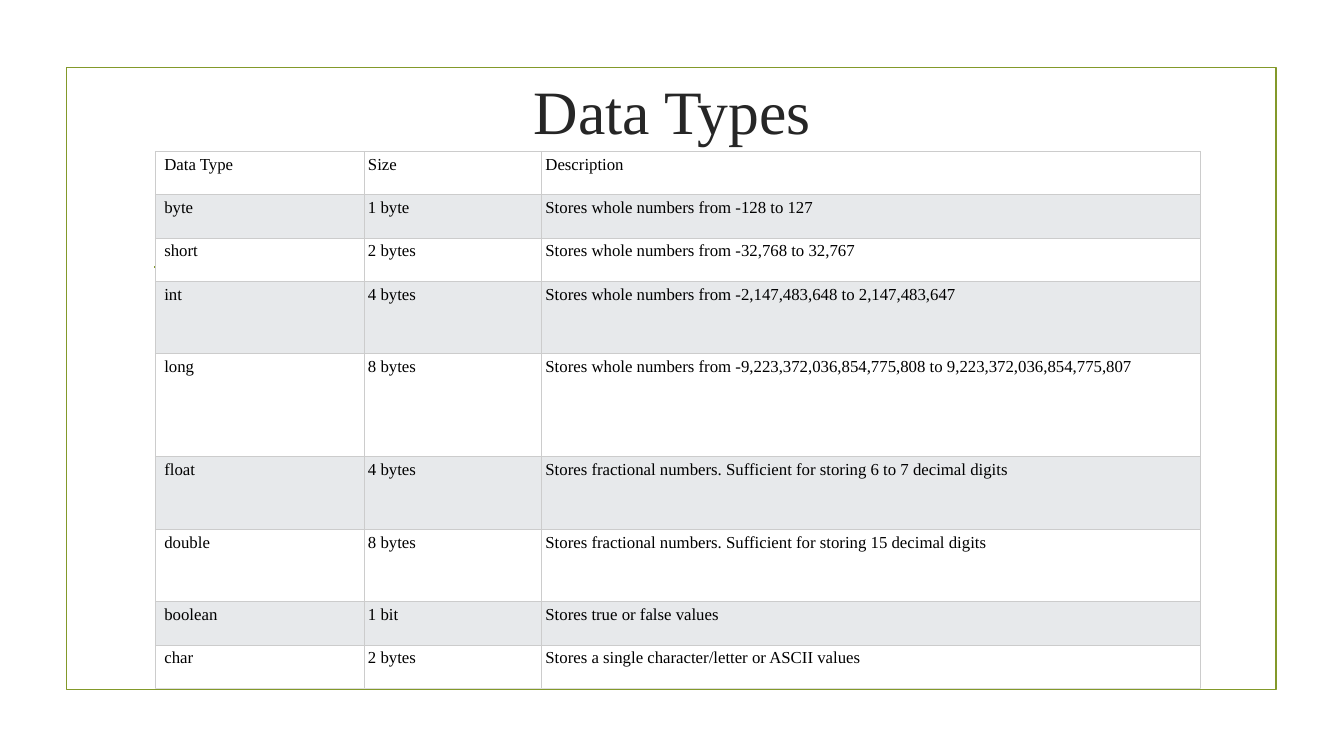
from lxml import etree
from pptx import Presentation
from pptx.dml.color import RGBColor
from pptx.enum.shapes import MSO_CONNECTOR, MSO_SHAPE
from pptx.enum.text import MSO_ANCHOR, PP_ALIGN
from pptx.oxml.ns import qn
from pptx.util import Inches, Pt

STRAIGHT = MSO_CONNECTOR.STRAIGHT
RECTANGLE = MSO_SHAPE.RECTANGLE
MIDDLE, TOP = MSO_ANCHOR.MIDDLE, MSO_ANCHOR.TOP
CENTER, LEFT = PP_ALIGN.CENTER, PP_ALIGN.LEFT

OLIVE = RGBColor(0x83, 0x99, 0x2A)
CHARCOAL = RGBColor(0x26, 0x26, 0x26)
BLACK = RGBColor(0, 0, 0)
WHITE = RGBColor(0xFF, 0xFF, 0xFF)
BAND_GRAY = RGBColor(0xE7, 0xE9, 0xEB)
BORDER_GRAY = RGBColor(0xCC, 0xCC, 0xCC)
BOTTOM_GRAY = RGBColor(0xDD, 0xDD, 0xDD)
FONT = "Times New Roman"

COLUMN_WIDTHS = (2.07, 1.76, 6.54)
ROW_HEIGHTS = (0.43, 0.43, 0.43, 0.72, 1.02, 0.72, 0.72, 0.43, 0.43)
DATA_TYPES = (
    ("Data Type", "Size", "Description"),
    ("byte", "1 byte", "Stores whole numbers from -128 to 127"),
    ("short", "2 bytes", "Stores whole numbers from -32,768 to 32,767"),
    ("int", "4 bytes", "Stores whole numbers from -2,147,483,648 to 2,147,483,647"),
    ("long", "8 bytes",
     "Stores whole numbers from -9,223,372,036,854,775,808 to 9,223,372,036,854,775,807"),
    ("float", "4 bytes",
     "Stores fractional numbers. Sufficient for storing 6 to 7 decimal digits"),
    ("double", "8 bytes",
     "Stores fractional numbers. Sufficient for storing 15 decimal digits"),
    ("boolean", "1 bit", "Stores true or false values"),
    ("char", "2 bytes", "Stores a single character/letter or ASCII values"),
)


def format_text(frame, size, color, align):
    para = frame.paragraphs[0]
    para.alignment = align
    font = para.runs[0].font
    font.name, font.size, font.color.rgb = FONT, Pt(size), color


def add_frame(page, left, top, width, height):
    """Outline around the page, with a rule below the title."""
    frame = page.shapes.add_shape(
        RECTANGLE, Inches(left), Inches(top), Inches(width), Inches(height))
    frame.shadow.inherit = False
    frame.fill.background()

    rule_y = Inches(top + 1.98)
    rule = page.shapes.add_connector(
        STRAIGHT, Inches(left + 0.87), rule_y, Inches(left + width - 0.85), rule_y)
    etree.SubElement(rule._element.spPr, qn("a:effectLst"))

    for outline in (frame.line, rule.line):
        outline.color.rgb = OLIVE
        outline.width = Pt(1.25)


def add_title(page, left, top, width, height):
    title = page.shapes.title
    title.left, title.top = Inches(left), Inches(top)
    title.width, title.height = Inches(width), Inches(height)
    title.text_frame.text = "Data Types"
    title.text_frame.vertical_anchor = MIDDLE
    format_text(title.text_frame, 44, CHARCOAL, CENTER)


def set_borders(cell, bottom_color):
    """Thin lines on all sides; borders must come before the fill."""
    properties = cell._tc.get_or_add_tcPr()
    sides = (("lnL", BORDER_GRAY), ("lnR", BORDER_GRAY),
             ("lnT", BORDER_GRAY), ("lnB", bottom_color))
    for position, (side, color) in enumerate(sides):
        line = etree.Element(qn("a:" + side), w=str(Pt(0.6)))
        fill = etree.SubElement(line, qn("a:solidFill"))
        etree.SubElement(fill, qn("a:srgbClr"), val=str(color))
        properties.insert(position, line)


def add_type_table(page, left, top):
    table = page.shapes.add_table(
        len(ROW_HEIGHTS), len(COLUMN_WIDTHS), Inches(left), Inches(top),
        Inches(sum(COLUMN_WIDTHS)), Inches(sum(ROW_HEIGHTS))).table
    for column, width in zip(table.columns, COLUMN_WIDTHS):
        column.width = Inches(width)
    for row, height in zip(table.rows, ROW_HEIGHTS):
        row.height = Inches(height)

    last_row = len(DATA_TYPES) - 1
    for row_number, entries in enumerate(DATA_TYPES):
        for column_number, entry in enumerate(entries):
            cell = table.cell(row_number, column_number)
            cell.text_frame.text = entry
            cell.vertical_anchor = TOP
            cell.margin_left = Inches(0.04 if column_number else 0.09)
            cell.margin_top = cell.margin_right = cell.margin_bottom = Inches(0.04)
            format_text(cell.text_frame, 12, BLACK, LEFT)
            cell.fill.solid()
            cell.fill.fore_color.rgb = BAND_GRAY if row_number % 2 else WHITE
            set_borders(cell, BOTTOM_GRAY if row_number == last_row else BORDER_GRAY)


def main():
    deck = Presentation()
    deck.slide_width, deck.slide_height = Inches(13.33), Inches(7.5)
    page = deck.slides.add_slide(deck.slide_layouts[5])
    add_frame(page, 0.66, 0.67, 12, 6.17)
    add_title(page, 1.42, 0.37, 10.5, 1.43)
    add_type_table(page, 1.54, 1.5)
    deck.save("out.pptx")


if __name__ == "__main__":
    main()
